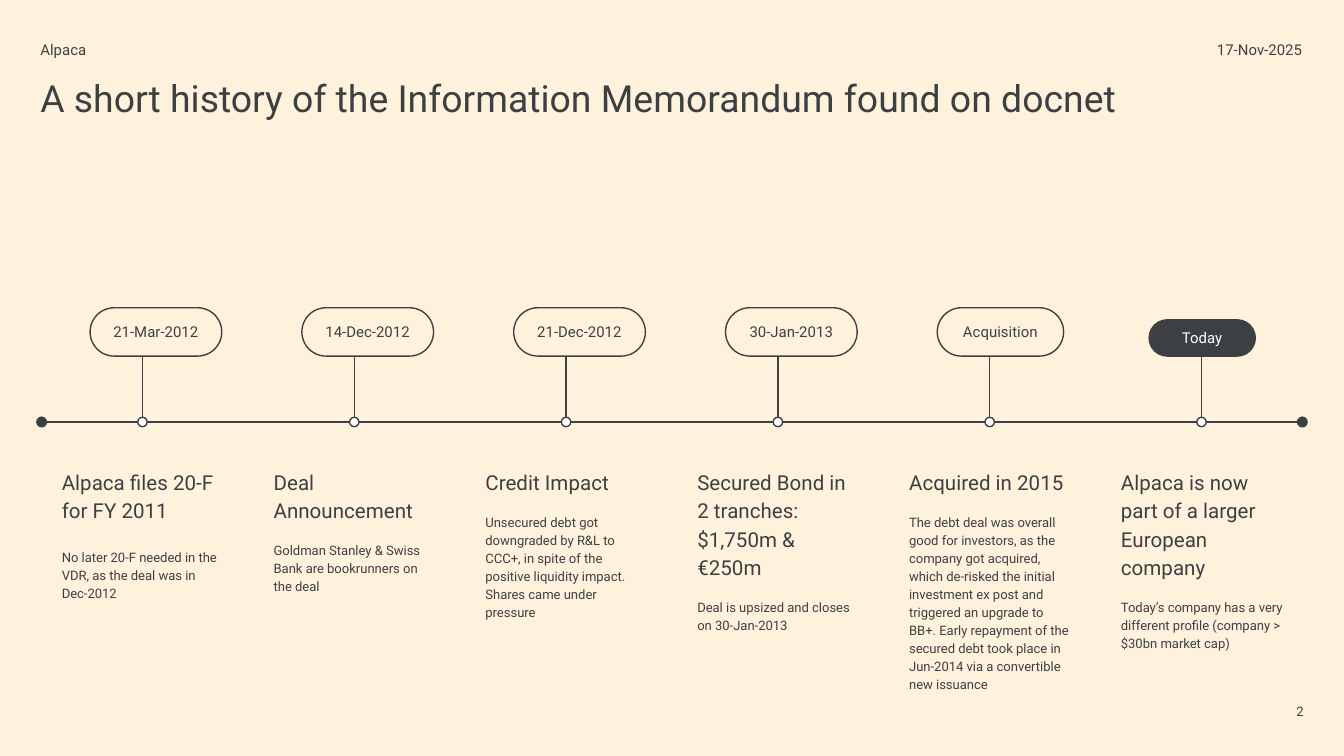
import pptx
import pptx.dml.color
import pptx.enum.shapes
import pptx.enum.text
import pptx.oxml
import pptx.oxml.ns
import pptx.util

Inches, Pt = pptx.util.Inches, pptx.util.Pt
SHAPES = pptx.enum.shapes.MSO_SHAPE
ALIGN = pptx.enum.text.PP_ALIGN
ANCHOR = pptx.enum.text.MSO_ANCHOR

# Content
TITLE = "A short history of the Information Memorandum found on docnet"
PROJECT, DATE, PAGE = "Alpaca", "17-Nov-2025", "2"
EVENTS = [
    {"label": "21-Mar-2012", "heading": "Alpaca files 20-F for FY 2011", "gap": 12.9,
     "detail": "No later 20-F needed in the VDR, as the deal was in Dec-2012"},
    {"label": "14-Dec-2012", "heading": "Deal Announcement",
     "detail": "Goldman Stanley & Swiss Bank are bookrunners on the deal"},
    {"label": "21-Dec-2012", "heading": "Credit Impact",
     "detail": "Unsecured debt got downgraded by R&L to CCC+, in spite of the "
               "positive liquidity impact. Shares came under pressure"},
    {"label": "30-Jan-2013", "heading": "Secured Bond in 2 tranches: $1,750m & €250m",
     "detail": "Deal is upsized and closes on 30-Jan-2013"},
    {"label": "Acquisition", "pill": (0.94, 0.36), "heading": "Acquired in 2015", "height": 1.72,
     "detail": "The debt deal was overall good for investors, as the company got acquired, "
               "which de-risked the initial investment ex post and triggered an upgrade to BB+. "
               "Early repayment of the secured debt took place in Jun-2014 via a convertible "
               "new issuance"},
    {"label": "Today", "pill": (0.79, 0.27), "fill": "ink", "text": "white",
     "heading": "Alpaca is now part of a larger European company",
     "detail": "Today’s company has a very different profile (company > $30bn market cap)"},
]

# Format
COLORS = {"paper": "FFF2DC", "ink": "3C4043", "white": "FFFFFF"}
FONT = "Roboto"
STEP = 7.88 / 5
COLUMN_LEFT, COLUMN_TOP, COLUMN_WIDTH = 0.31, 3.47, 1.52
PILL_LEFT, PILL_BOTTOM = 0.67, 2.65
NODE_CENTER, NODE_SIZE = 1.06, 0.07
AXIS_Y, AXIS_LEFT, AXIS_RIGHT = 3.14, 0.31, 9.69


def rgb(name):
    return pptx.dml.color.RGBColor.from_string(COLORS[name])


def set_frame(frame, insets=(0, 0, 0, 0), anchor=ANCHOR.TOP):
    values = dict(zip(("margin_left", "margin_top", "margin_right", "margin_bottom"),
                      map(Inches, insets)))
    values.update(word_wrap=True, vertical_anchor=anchor,
                  auto_size=pptx.enum.text.MSO_AUTO_SIZE.NONE)
    for name, value in values.items():
        setattr(frame, name, value)


def write(paragraph, text, size, color="ink", **layout):
    paragraph.text = text
    for name, value in {"alignment": ALIGN.LEFT, **layout}.items():
        setattr(paragraph, name, value)
    for name, value in {"name": FONT, "size": Pt(size)}.items():
        setattr(paragraph.font, name, value)
    paragraph.font.color.rgb = rgb(color)


def add_text(slide, box, text, size, insets=(0, 0, 0, 0), anchor=ANCHOR.TOP, **layout):
    shape = slide.shapes.add_textbox(*map(Inches, box))
    set_frame(shape.text_frame, insets, anchor)
    write(shape.text_frame.paragraphs[0], text, size, **layout)
    return shape.text_frame


def add_outlined(slide, kind, box, fill):
    shape = slide.shapes.add_shape(kind, *map(Inches, box))
    shape.shadow.inherit = False
    shape.fill.solid()
    shape.fill.fore_color.rgb = rgb(fill)
    shape.line.color.rgb = rgb("ink")
    shape.line.width = Pt(0.75)
    return shape


def add_line(slide, start, end, oval_ends=False):
    line = slide.shapes.add_connector(pptx.enum.shapes.MSO_CONNECTOR.STRAIGHT,
                                      *map(Inches, start + end))
    line.line.color.rgb = rgb("ink")
    line.line.width = Pt(0.75)
    if oval_ends:
        for tag in ("a:headEnd", "a:tailEnd"):
            line.line._get_or_add_ln().append(pptx.oxml.parse_xml(
                f'<{tag} {pptx.oxml.ns.nsdecls("a")} type="oval" w="med" len="med"/>'))
    line._element.spPr.append(pptx.oxml.parse_xml(
        f'<a:effectLst {pptx.oxml.ns.nsdecls("a")}/>'))


def add_event(slide, index, event):
    offset = index * STEP
    center = NODE_CENTER + offset
    node_top = AXIS_Y - NODE_SIZE / 2

    # Stem, label and node
    add_line(slide, (center, PILL_BOTTOM), (center, node_top))
    width, height = event.get("pill", (0.98, 0.36))
    pill = add_outlined(slide, SHAPES.ROUNDED_RECTANGLE,
                        (PILL_LEFT + offset, PILL_BOTTOM - height, width, height),
                        event.get("fill", "paper"))
    pill.adjustments[0] = 0.5
    set_frame(pill.text_frame, (0.1, 0.1, 0.1, 0.1), ANCHOR.MIDDLE)
    write(pill.text_frame.paragraphs[0], event["label"], 8,
          event.get("text", "ink"), alignment=ALIGN.CENTER)
    add_outlined(slide, SHAPES.OVAL,
                 (center - NODE_SIZE / 2, node_top, NODE_SIZE, NODE_SIZE), "white")

    # Description
    frame = add_text(slide, (COLUMN_LEFT + offset, COLUMN_TOP, COLUMN_WIDTH,
                             event.get("height", 1.49)),
                     event["heading"], 11, (0.15, 0, 0.15, 0), line_spacing=1.15)
    write(frame.add_paragraph(), event["detail"], 7, line_spacing=1.15,
          space_before=Pt(event.get("gap", 9.4)))


def main():
    presentation = pptx.Presentation()
    # Widescreen, 16:9
    presentation.slide_width = Inches(10)
    presentation.slide_height = Inches(10 * 9 / 16)
    slide = presentation.slides.add_slide(presentation.slide_layouts[5])
    slide.background.fill.solid()
    slide.background.fill.fore_color.rgb = rgb("paper")

    # Title and header
    title = slide.shapes.title
    for name, value in {"left": 0.3, "top": 0.46, "width": 9.39, "height": 0.97}.items():
        setattr(title, name, Inches(value))
    set_frame(title.text_frame, (0, 0.1, 0, 0))
    write(title.text_frame.paragraphs[0], TITLE, 20)
    add_text(slide, (0.3, 0.3, 1.78, 0.15), PROJECT, 8)
    add_text(slide, (7.91, 0.3, 1.78, 0.15), DATE, 8, alignment=ALIGN.RIGHT)

    # Timeline
    add_line(slide, (AXIS_LEFT, AXIS_Y), (AXIS_RIGHT, AXIS_Y), oval_ends=True)
    for index, event in enumerate(EVENTS):
        add_event(slide, index, event)

    # Page number
    add_text(slide, (8.98, 5.19, 0.72, 0.21), PAGE, 7, (0.1, 0.1, 0, 0.1),
             ANCHOR.MIDDLE, alignment=ALIGN.RIGHT)
    presentation.save("out.pptx")


if __name__ == "__main__":
    main()
